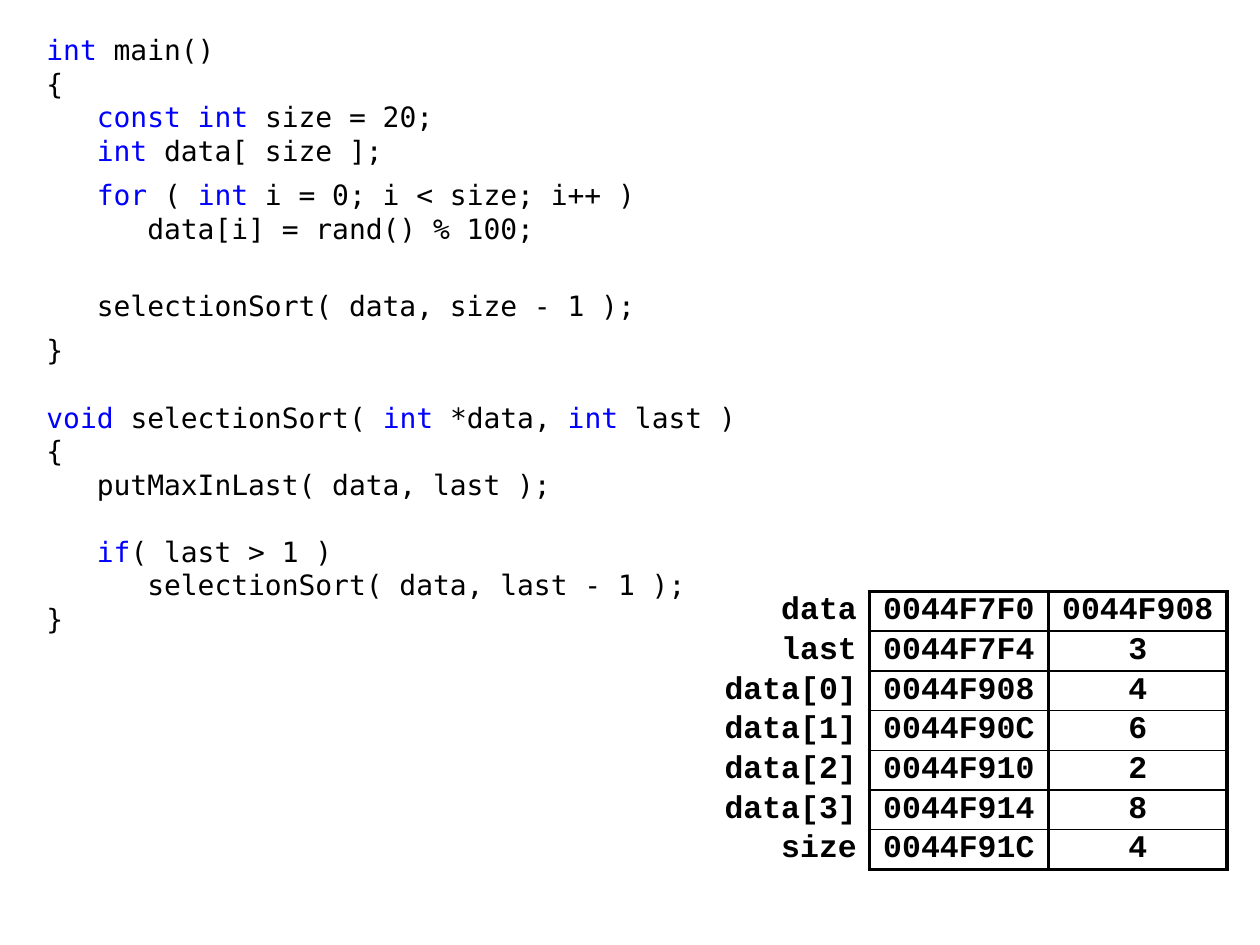
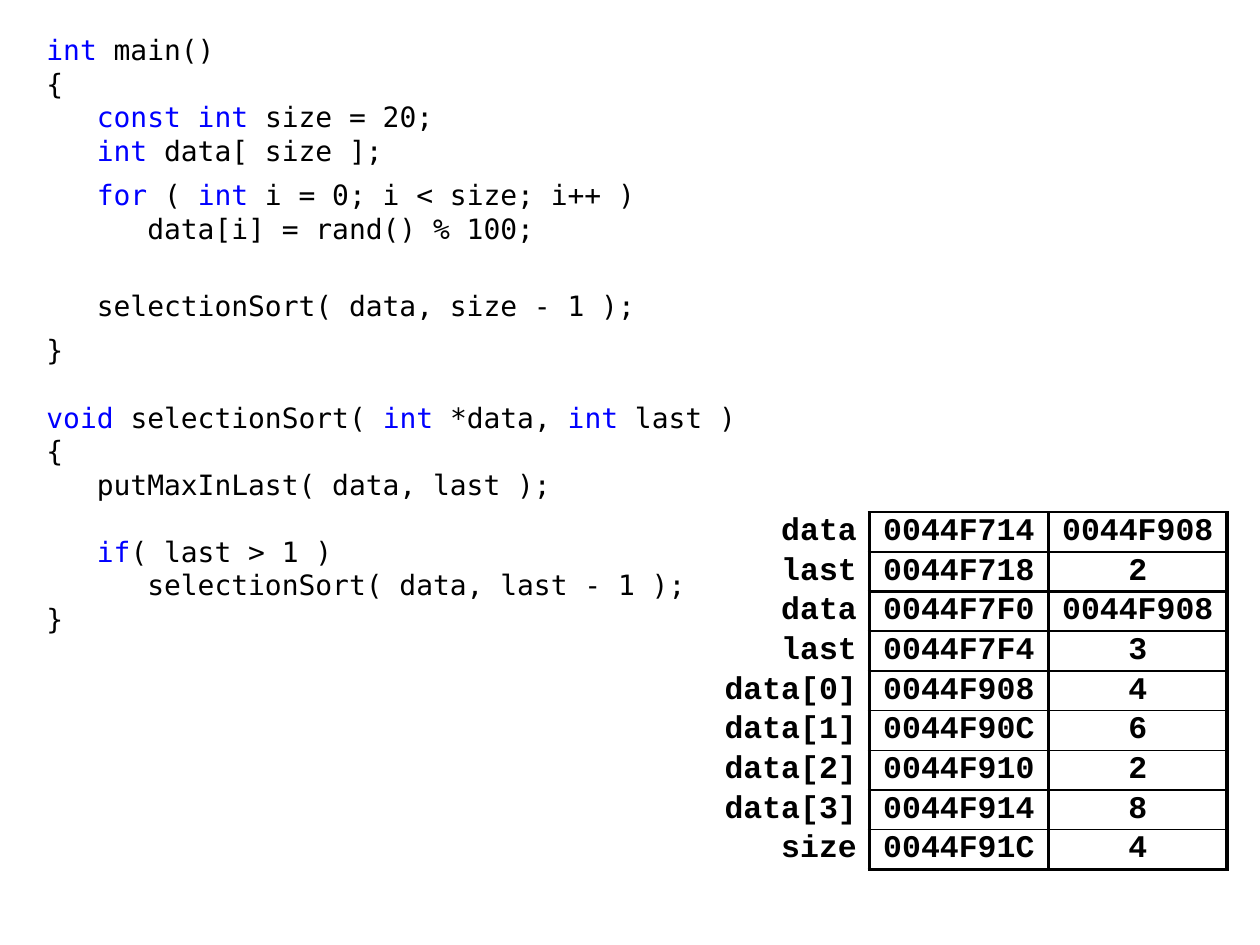
from dataclasses import dataclass
from lxml.etree import SubElement
from pptx import Presentation
from pptx.dml.color import RGBColor
from pptx.enum.text import MSO_ANCHOR, PP_ALIGN
from pptx.oxml.ns import qn
from pptx.util import Inches, Pt


@dataclass(frozen=True)
class Theme:
    ink: str = "000000"
    key: str = "0000FF"
    mono: str = "DejaVu Sans Mono"
    bold: str = "Courier New"
    code: int = 16
    cell: int = 18
    side: float = 2.25
    frame: float = 1.5
    thin: float = 1
    blank: float = 19.2
    gap: int = 6


look = Theme()
deck = Presentation()
deck.slide_width, deck.slide_height = Inches(10), Inches(7.5)
wide, high = deck.slide_width, deck.slide_height

code = [
    ("`int` main()", 0, 0),
    ("{", 0, 0),
    ("   `const int `size = 20;", 0, 0),
    ("   `int` data[ size ];", 0, look.gap),
    ("   `for` ( `int` i = 0; i < size; i++ )", 0, 0),
    ("      data[i] = rand() % 100;", 0, look.gap),
    ("   selectionSort( data, size - 1 );", look.blank, look.gap),
    ("}", 0, 0),
    ("`void `selectionSort( `int `*data, `int` last )", look.blank, 0),
    ("{", 0, 0),
    ("   putMaxInLast( data, last );", 0, 0),
    ("   `if`( last > 1 )", look.blank, 0),
    ("      selectionSort( data, last - 1 );", 0, 0),
    ("}", 0, 0),
]

main = [
    ("data[0]", "0044F908", "4"),
    ("data[1]", "0044F90C", "6"),
    ("data[2]", "0044F910", "2"),
    ("data[3]", "0044F914", "8"),
    ("size", "0044F91C", "4"),
]
first = [("data", "0044F7F0", "0044F908"), ("last", "0044F7F4", "3")]
second = [("data", "0044F714", "0044F908"), ("last", "0044F718", "2")]
stacks = [[first, main], [second, first, main]]

cols = [0.126 * wide, 0.142 * wide, 0.142 * wide]
step = 0.042 * high
left, base = 0.564 * wide, 0.92 * high


def edge(cell, side, width):
    props = cell._tc.get_or_add_tcPr()
    line = SubElement(props, qn(f"a:ln{side}"), w=str(int(Pt(width))))
    if width:
        fill = SubElement(line, qn("a:solidFill"))
        SubElement(fill, qn("a:srgbClr"), val=look.ink)
    else:
        SubElement(line, qn("a:noFill"))


def style(font, name, size, bold):
    font.name, font.size, font.bold = name, Pt(size), bold
    font.color.rgb = RGBColor.from_string(look.ink)


for stack in stacks:
    slide = deck.slides.add_slide(deck.slide_layouts[6])

    box = slide.shapes.add_textbox(
        int(0.027 * wide), int(0.028 * high), int(0.571 * wide), int(0.656 * high)
    )
    text = box.text_frame
    text.word_wrap = True
    text.margin_right = Inches(0.08)
    for num, (line, above, below) in enumerate(code):
        para = text.add_paragraph() if num else text.paragraphs[0]
        para.space_before, para.space_after = Pt(above), Pt(below)
        style(para.font, look.mono, look.code, False)
        for pos, part in enumerate(line.split("`")):
            if part:
                run = para.add_run()
                run.text = part
                if pos % 2:
                    run.font.color.rgb = RGBColor.from_string(look.key)

    rows = [row for frame in stack for row in frame]
    rules = []
    for frame in stack:
        rules += [look.frame] + [look.thin] * (len(frame) - 1)
    rules.append(look.side)
    tall = step * len(rows)
    grid = slide.shapes.add_table(
        len(rows), len(cols), int(left), int(base - tall), int(sum(cols)), int(tall)
    ).table
    grid.first_row = grid.horz_banding = False
    for col, width in zip(grid.columns, cols):
        col.width = int(width)
    for y, row in enumerate(rows):
        grid.rows[y].height = int(step)
        for x, word in enumerate(row):
            cell = grid.cell(y, x)
            cell.margin_left = cell.margin_right = Inches(0.1)
            cell.margin_top = cell.margin_bottom = 0
            cell.vertical_anchor = MSO_ANCHOR.MIDDLE
            para = cell.text_frame.paragraphs[0]
            para.alignment = PP_ALIGN.CENTER if x else PP_ALIGN.RIGHT
            style(para.font, look.bold, look.cell, True)
            para.add_run().text = word
            edge(cell, "L", look.side if x else 0)
            edge(cell, "R", look.side)
            edge(cell, "T", rules[y] if x else 0)
            edge(cell, "B", rules[y + 1] if x else 0)
            cell.fill.background()

deck.save("out.pptx")
